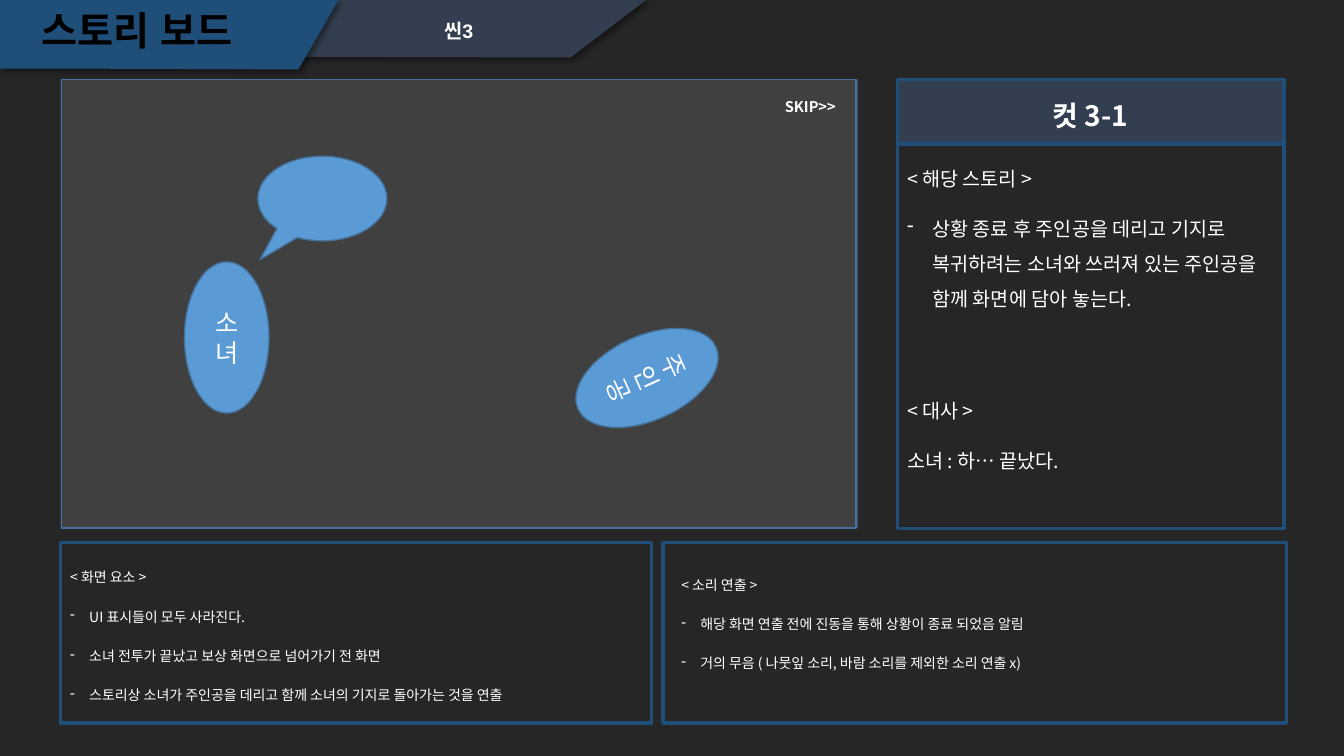
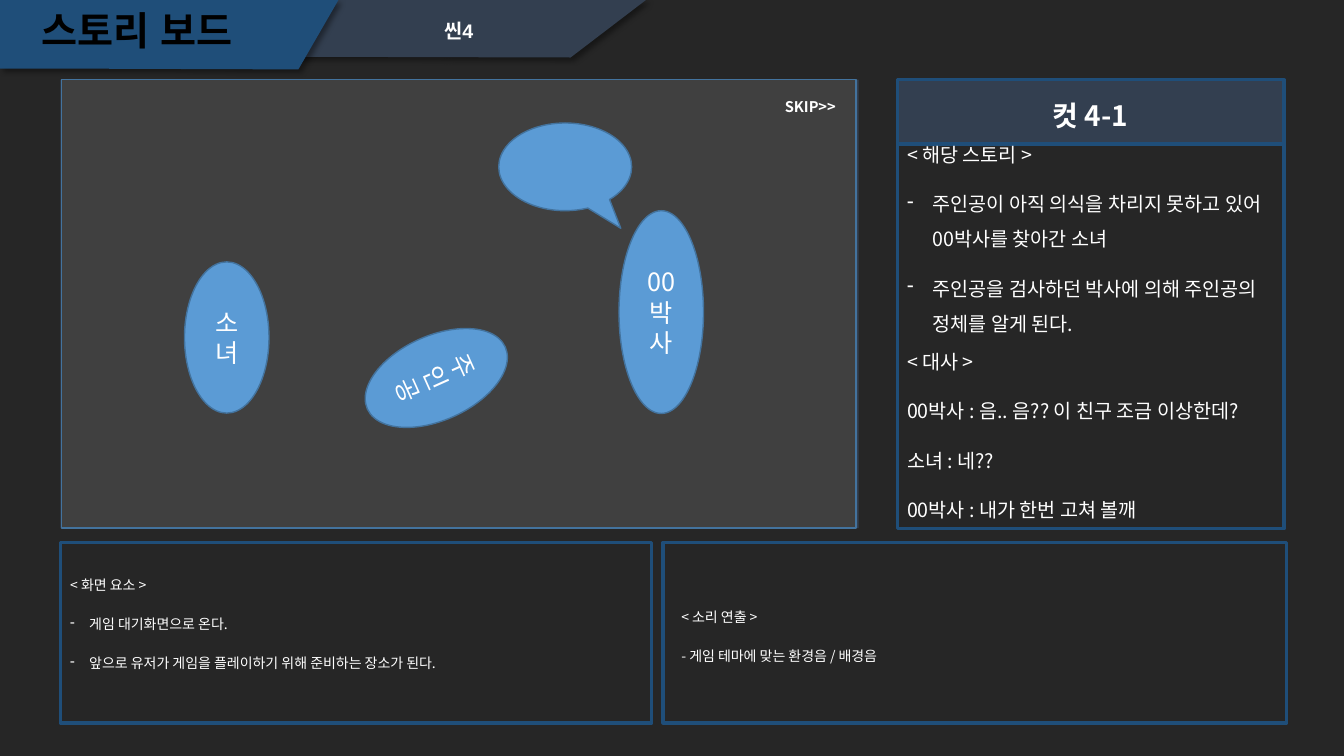
from lxml.etree import SubElement
from pptx import Presentation
from pptx.dml.color import RGBColor
from pptx.enum.shapes import MSO_SHAPE
from pptx.enum.text import MSO_ANCHOR, PP_ALIGN
from pptx.oxml.ns import qn
from pptx.util import Cm, Pt

# Colours
DARK = RGBColor(0x26, 0x26, 0x26)
SLATE = RGBColor(0x33, 0x3F, 0x50)
NAVY = RGBColor(0x1F, 0x4E, 0x79)
GREY = RGBColor(0x40, 0x40, 0x40)
BLUE = RGBColor(0x5B, 0x9B, 0xD5)
EDGE = RGBColor(0x43, 0x73, 0x9E)
WHITE = RGBColor(0xFF, 0xFF, 0xFF)
BLACK = RGBColor(0, 0, 0)

# Text formats
SANS = "Noto Sans CJK KR"
TITLE = {"name": "Arial", "size": Pt(28), "bold": True}
SCENE = {"name": "Arial", "size": Pt(14), "bold": True}
CUT = {"name": SANS, "size": Pt(20), "bold": True}
SKIP = {"name": SANS, "size": Pt(10.5), "bold": True}
ACTOR = {"name": SANS, "size": Pt(18)}
BODY = {"name": SANS, "size": Pt(14)}
NOTE = {"name": SANS, "size": Pt(10)}

# Regions in cm: left, top, width, height
SCREEN = (1.55, 2.01, 20.02, 11.3)
SIDE = (22.61, 2.01, 9.75, 11.32)
LEFT = (1.52, 13.67, 14.91, 4.55)
RIGHT = (16.71, 13.67, 15.72, 4.55)

GIRL = ("소녀", (3.1, 4.59, 2.13, 3.81), 0)
SCENES = [
    {"scene": "씬3", "cut": "컷 3-1",
     "actors": [("주인공", (13.69, 5.61, 2.13, 3.81), 65.8), GIRL],
     "bubble": ((4.95, 1.93, 3.25, 2.13), (-0.483, 0.722)),
     "story": ["상황 종료 후 주인공을 데리고 기지로 복귀하려는 소녀와 쓰러져 있는 "
               "주인공을 함께 화면에 담아 놓는다."],
     "talk": ["소녀 : 하… 끝났다."],
     "view": {"lines": ["UI 표시들이 모두 사라진다.",
                        "소녀 전투가 끝났고 보상 화면으로 넘어가기 전 화면",
                        "스토리상 소녀가 주인공을 데리고 함께 소녀의 기지로 돌아가는 것을 연출"],
              "hang": 0.48},
     "sound": {"lines": ["해당 화면 연출 전에 진동을 통해 상황이 종료 되었음 알림",
                         "거의 무음 ( 나뭇잎 소리, 바람 소리를 제외한 소리 연출 x)"],
               "hang": 0.48, "foot": 0.76}},
    {"scene": "씬4", "cut": "컷 4-1",
     "actors": [("주인공", (8.38, 5.61, 2.13, 3.81), 65.8), GIRL,
                ("00박사", (14.05, 3.3, 2.13, 5.11), 0)],
     "bubble": ((11.02, 1.09, 3.35, 2.21), (0.418, 0.7)),
     "story": ["주인공이 아직 의식을 차리지 못하고 있어 00박사를 찾아간 소녀",
               "주인공을 검사하던 박사에 의해 주인공의 정체를 알게 된다."],
     "talk": ["00박사 : 음.. 음?? 이 친구 조금 이상한데?", "소녀 : 네??",
              "00박사 : 내가 한번 고쳐 볼깨"],
     "view": {"lines": ["게임 대기화면으로 온다.",
                        "앞으로 유저가 게임을 플레이하기 위해 준비하는 장소가 된다."],
              "hang": 0.48, "foot": 0.76},
     "sound": {"lines": ["- 게임 테마에 맞는 환경음 / 배경음"]}},
]


def within(box, part):
    """Shift a part by the corner of its region."""
    return (box[0] + part[0], box[1] + part[1], part[2], part[3])


def paint(shape, fill=None, line=None, width=1):
    shape.shadow.inherit = False
    if fill is None:
        shape.fill.background()
    else:
        shape.fill.solid()
        shape.fill.fore_color.rgb = fill
    if line is None:
        shape.line.fill.background()
    else:
        shape.line.color.rgb = line
        shape.line.width = Pt(width)


def add_form(slide, kind, box, **look):
    shape = slide.shapes.add_shape(kind, *map(Cm, box))
    paint(shape, **look)
    return shape


def write(para, text, style, color=WHITE):
    run = para.add_run()
    run.text = text
    for key, value in style.items():
        setattr(run.font, key, value)
    run.font.color.rgb = color
    SubElement(run.font._element, qn("a:ea"), typeface=style["name"])


def add_label(slide, box, text, style, color=WHITE, align=PP_ALIGN.CENTER,
              anchor=MSO_ANCHOR.MIDDLE, space=1.0):
    frame = slide.shapes.add_textbox(*map(Cm, box)).text_frame
    frame.word_wrap = True
    frame.vertical_anchor = anchor
    para = frame.paragraphs[0]
    para.alignment = align
    para.line_spacing = space
    write(para, text, style, color)


def add_notes(slide, box, head, lines, style, hang=0, foot=0.13):
    """A heading, then lines with a hanging dash when hang is set."""
    frame = slide.shapes.add_textbox(*map(Cm, box)).text_frame
    frame.word_wrap = True
    frame.vertical_anchor = MSO_ANCHOR.MIDDLE
    frame.margin_bottom = Cm(foot)
    para = frame.paragraphs[0]
    para.line_spacing = 1.5
    write(para, head, style)
    for line in lines:
        para = frame.add_paragraph()
        para.line_spacing = 1.5
        para.space_before = Pt(10)
        if hang:
            props = para._p.get_or_add_pPr()
            props.set("marL", str(Cm(hang)))
            props.set("indent", str(-Cm(hang)))
            SubElement(props, qn("a:buChar"), char="-")
        write(para, line, style)


def add_ribbon(slide, points, fill):
    first, *rest = [(Cm(x), Cm(y)) for x, y in points]
    form = slide.shapes.build_freeform(*first)
    form.add_line_segments(rest, close=True)
    shape = form.convert_to_shape()
    paint(shape, fill)
    # Soft shadow to the lower right
    effect = shape._element.spPr.find(qn("a:effectLst"))
    shade = SubElement(effect, qn("a:outerShdw"), blurRad=str(Pt(4)),
                       dist=str(Pt(3)), dir="2700000", algn="tl", rotWithShape="0")
    tint = SubElement(shade, qn("a:srgbClr"), val=str(BLACK))
    SubElement(tint, qn("a:alpha"), val="40000")


def add_banner(slide, scene):
    add_ribbon(slide, [(0.13, 0), (16.28, 0), (14.38, 1.45), (3.5, 1.42),
                       (0.13, 1.42)], SLATE)
    add_ribbon(slide, [(0, 0), (8.53, 0), (7.52, 1.75), (1.78, 1.73),
                       (0, 1.73)], NAVY)
    add_label(slide, (10.29, 0.41, 2.54, 0.81), scene, SCENE,
              anchor=MSO_ANCHOR.TOP, space=0.9)
    add_label(slide, (0.08, 0.15, 6.76, 1.35), "스토리 보드", TITLE, BLACK, space=0.9)


def add_screen(slide, box, actors, bubble):
    plate = within(box, (-0.03, 0, box[2] + 0.1, box[3]))
    add_form(slide, MSO_SHAPE.RECTANGLE, plate, fill=SLATE)
    add_form(slide, MSO_SHAPE.RECTANGLE, box, fill=GREY, line=EDGE)
    for name, part, turn in actors:
        oval = add_form(slide, MSO_SHAPE.OVAL, within(box, part), fill=BLUE, line=EDGE)
        oval.rotation = turn
        frame = oval.text_frame
        frame.word_wrap = True
        frame.vertical_anchor = MSO_ANCHOR.MIDDLE
        frame.paragraphs[0].alignment = PP_ALIGN.CENTER
        write(frame.paragraphs[0], name, ACTOR)
    part, tip = bubble
    shape = add_form(slide, MSO_SHAPE.OVAL_CALLOUT, within(box, part),
                     fill=BLUE, line=EDGE)
    for index, value in enumerate(tip):
        shape.adjustments[index] = value
    add_label(slide, within(box, (17.98, 0.33, 2.54, 0.74)), "SKIP>>", SKIP,
              align=PP_ALIGN.LEFT, anchor=MSO_ANCHOR.TOP)


def add_side(slide, box, cut, story, talk):
    wide, high = box[2:]
    look = {"line": NAVY, "width": 2.25}
    add_form(slide, MSO_SHAPE.RECTANGLE, within(box, (0, 1.62, wide, high - 1.62)), **look)
    add_form(slide, MSO_SHAPE.RECTANGLE, within(box, (0, 0, wide, 1.6)),
             fill=SLATE, **look)
    add_label(slide, within(box, (0, 0, wide, 1.37)), cut, CUT, space=1.5)
    add_notes(slide, within(box, (0, 6.35, wide + 0.03, 4.95)), "< 대사 >", talk, BODY)
    add_notes(slide, within(box, (0, 1.39, wide, 4.95)), "< 해당 스토리 >", story,
              BODY, hang=0.64)


def add_panel(slide, box, head, notes, shift=0):
    add_form(slide, MSO_SHAPE.RECTANGLE, box, line=NAVY, width=2.25)
    add_notes(slide, within(box, (shift, 0, 15.39, 4.52)), head, style=NOTE, **notes)


def main():
    deck = Presentation()
    deck.slide_width, deck.slide_height = Cm(33.87), Cm(19.05)
    back = deck.slide_master.background.fill
    back.solid()
    back.fore_color.rgb = DARK
    for data in SCENES:
        slide = deck.slides.add_slide(deck.slide_layouts[6])
        add_banner(slide, data["scene"])
        add_screen(slide, SCREEN, data["actors"], data["bubble"])
        add_side(slide, SIDE, data["cut"], data["story"], data["talk"])
        add_panel(slide, LEFT, "< 화면 요소 >", data["view"])
        add_panel(slide, RIGHT, "< 소리 연출 >", data["sound"], shift=0.21)
    deck.save("out.pptx")


if __name__ == "__main__":
    main()
